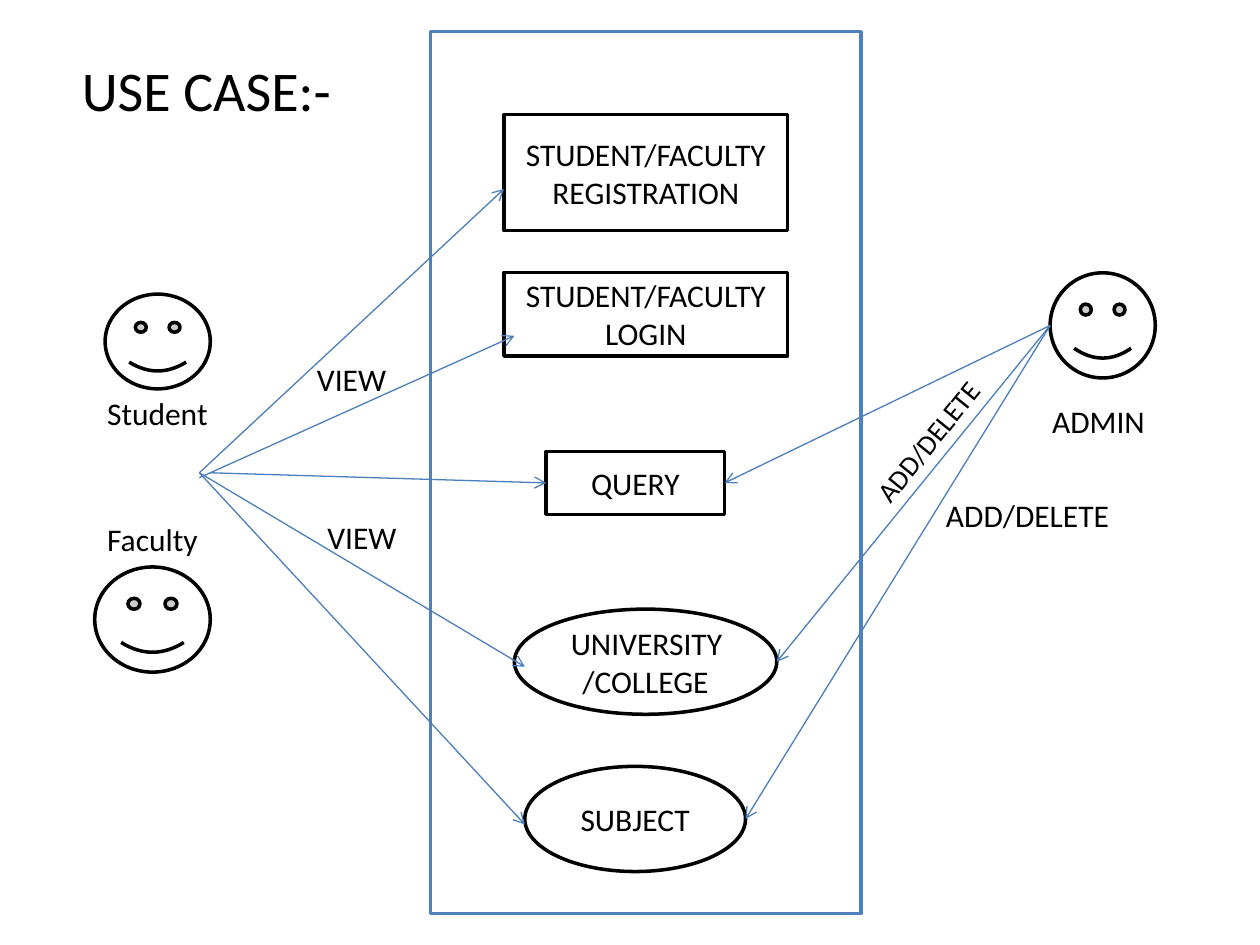
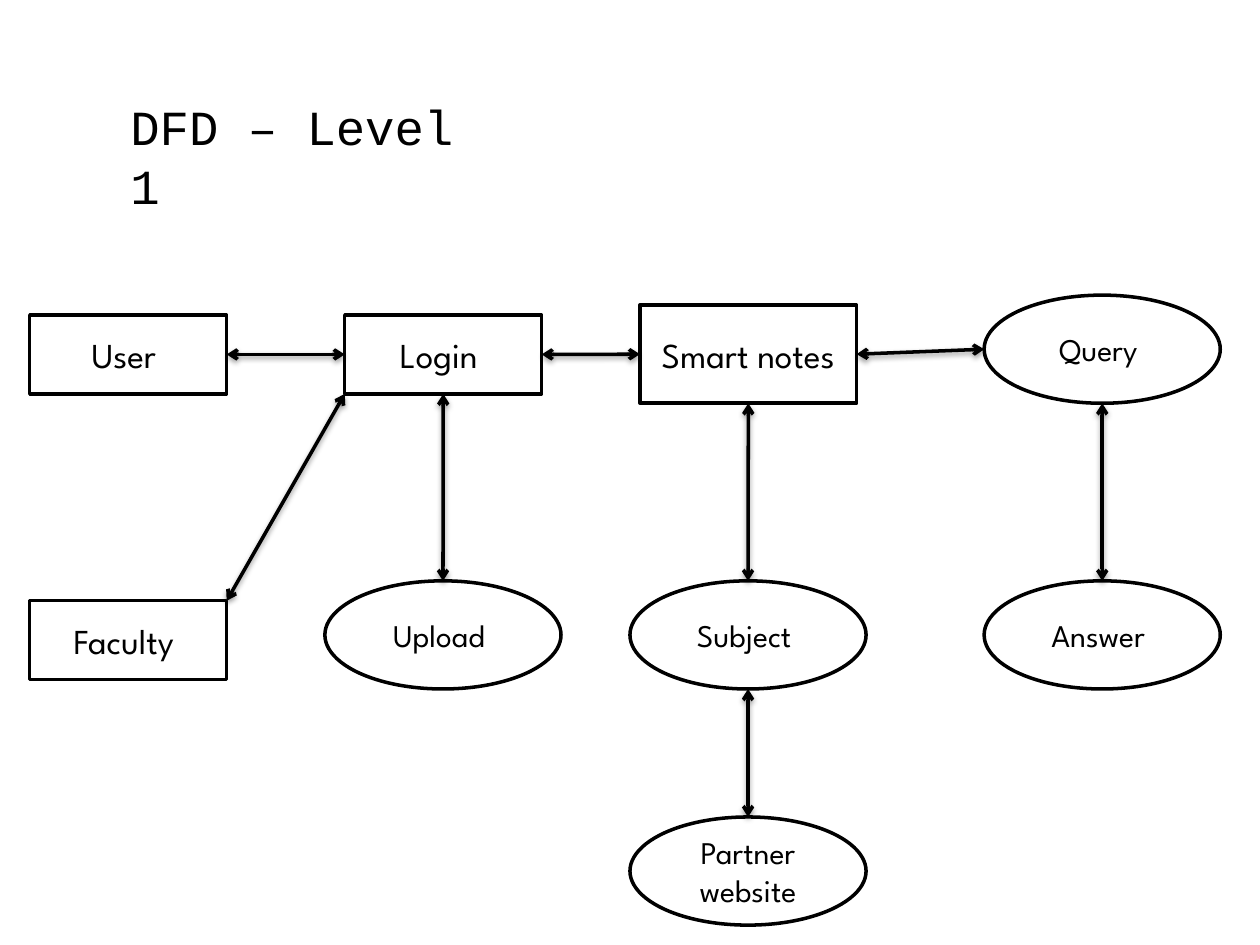
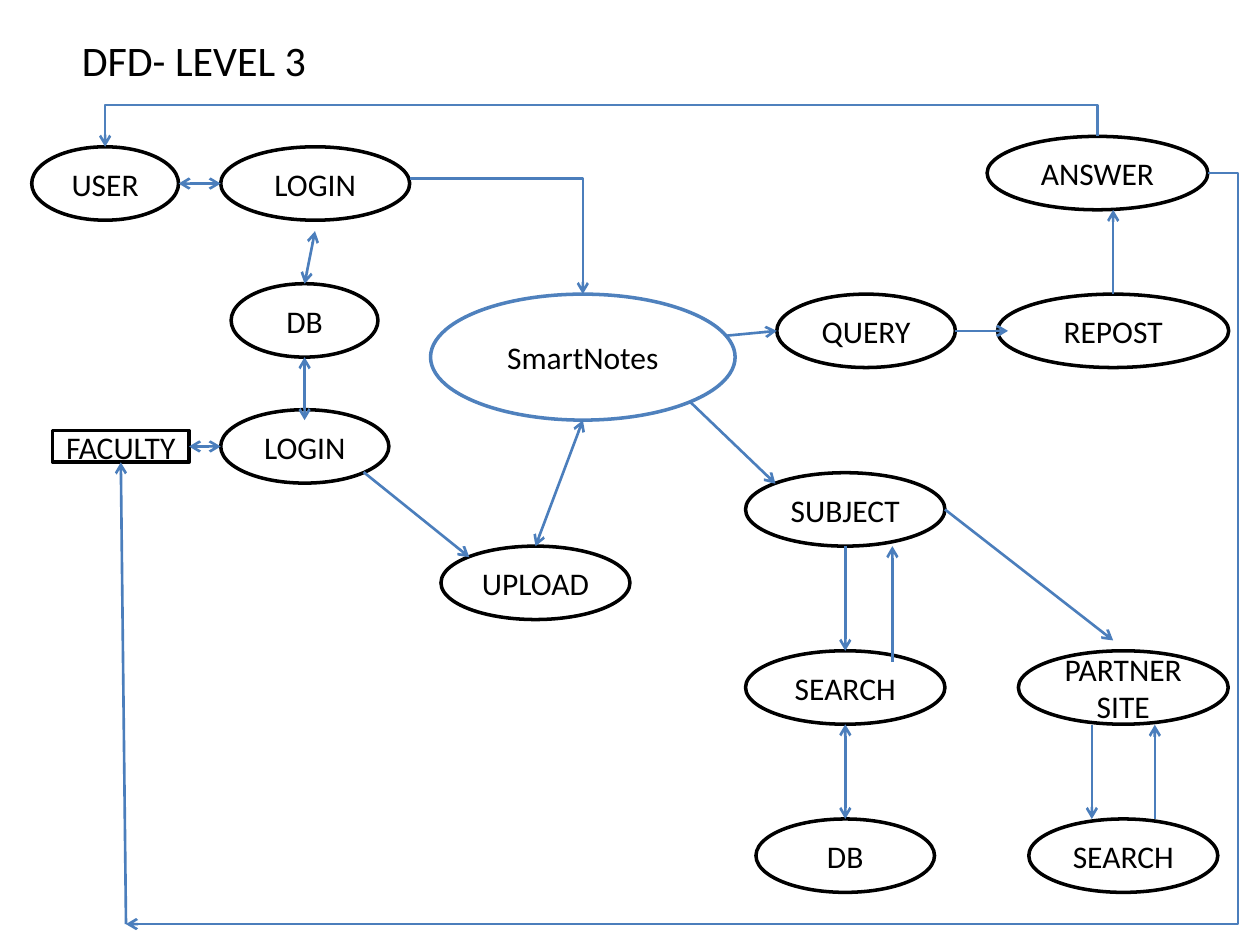
from lxml import etree
from pptx import Presentation
from pptx.dml.color import RGBColor
from pptx.enum.shapes import MSO_CONNECTOR, MSO_SHAPE
from pptx.enum.text import MSO_ANCHOR, MSO_AUTO_SIZE, PP_ALIGN
from pptx.oxml.ns import qn
from pptx.util import Cm, Pt

RECTANGLE, OVAL, SMILEY = MSO_SHAPE.RECTANGLE, MSO_SHAPE.OVAL, MSO_SHAPE.SMILEY_FACE
STRAIGHT, ELBOW = MSO_CONNECTOR.STRAIGHT, MSO_CONNECTOR.ELBOW
MIDDLE, CENTER = MSO_ANCHOR.MIDDLE, PP_ALIGN.CENTER
GROW = MSO_AUTO_SIZE.SHAPE_TO_FIT_TEXT

BLACK, WHITE, BLUE, ARROW_BLUE = "000000", "FFFFFF", "4F81BD", "4B7EBC"
BODY = {"name": "Calibri", "size": Pt(18)}
SMALL = {"name": "Calibri", "size": Pt(16)}
PROCESS = {"name": "League Spartan", "size": Pt(18)}
ENTITY = {"name": "League Spartan", "size": Pt(20)}
USE_CASE_TITLE = {"name": "Calibri", "size": Pt(32)}
LEVEL_1_TITLE = {"name": "Courier New", "size": Pt(28)}
LEVEL_3_TITLE = {"name": "Calibri", "size": Pt(24)}

THIN_ARROW = {"color": ARROW_BLUE, "width": 0.75}
FLOW_ARROW = {"color": ARROW_BLUE, "width": 1.5}
RETURN_ARROW = {"color": BLUE, "width": 1.5}
BLACK_ARROW = {"color": BLACK, "width": 2, "both": True, "shadow": True}

# Fractions of a node's width and height; the diagonals lie on an oval's edge.
SIDES = {
    "top": (0.5, 0), "bottom": (0.5, 1), "left": (0, 0.5), "right": (1, 0.5),
    "top right corner": (1, 0), "bottom left corner": (0, 1),
    "upper left": (0.15, 0.15), "lower right": (0.85, 0.85),
}


def rgb(color):
    return RGBColor.from_string(color)


def write(text_frame, text, font, align=None):
    text_frame.text = text
    for paragraph in text_frame.paragraphs:
        paragraph.alignment = align
        paragraph.font.color.rgb = rgb(BLACK)
        for attribute, value in font.items():
            setattr(paragraph.font, attribute, value)


def add_node(slide, kind, box, text="", font=BODY, outline=BLACK):
    shape = slide.shapes.add_shape(kind, *map(Cm, box))
    shape.shadow.inherit = False
    shape.fill.solid()
    shape.fill.fore_color.rgb = rgb(WHITE)
    shape.line.color.rgb = rgb(outline)
    shape.line.width = Pt(2)
    if text:
        shape.text_frame.vertical_anchor = MIDDLE
        write(shape.text_frame, text, font, CENTER)
    return shape


def add_label(slide, text, box, font=BODY, wrap=True, rotation=0):
    label = slide.shapes.add_textbox(*map(Cm, box))
    label.text_frame.word_wrap = wrap
    label.text_frame.auto_size = GROW
    label.rotation = rotation
    write(label.text_frame, text, font)


def locate(end):
    """Turn a (node, side name) pair or an (x, y) pair in cm into a point."""
    place, side = end
    if not isinstance(side, str):
        return Cm(place), Cm(side)
    across, down = SIDES[side]
    return (round(place.left + across * place.width),
            round(place.top + down * place.height))


def style_arrow(connector, color, width, both=False, shadow=False):
    connector.line.color.rgb = rgb(color)
    connector.line.width = Pt(width)
    line = connector.line._get_or_add_ln()
    for tag in ["a:headEnd", "a:tailEnd"] if both else ["a:tailEnd"]:
        etree.SubElement(line, qn(tag), type="arrow")
    effects = etree.SubElement(connector._element.spPr, qn("a:effectLst"))
    if shadow:
        outer = etree.SubElement(effects, qn("a:outerShdw"), blurRad="40000",
                                 dist="20000", dir="5400000", rotWithShape="0")
        tint = etree.SubElement(outer, qn("a:srgbClr"), val=BLACK)
        etree.SubElement(tint, qn("a:alpha"), val="38000")


def add_arrow(slide, start, end, **style):
    connector = slide.shapes.add_connector(STRAIGHT, *locate(start), *locate(end))
    style_arrow(connector, **style)


def add_elbow(slide, start, end, style, turn_x=None, turn_y=None):
    """Bend at turn_x or turn_y; with neither, go across and then down once."""
    (x1, y1), (x2, y2) = locate(start), locate(end)
    vertical_first = turn_y is not None
    adjustment = None
    if vertical_first:
        adjustment = (Cm(turn_y) - y1) / (y2 - y1)
        # The connector is laid out sideways and then turned by 270 degrees.
        middle_x, middle_y = (x1 + x2) // 2, (y1 + y2) // 2
        half_x, half_y = (y1 - y2) // 2, (x2 - x1) // 2
        x1, y1 = middle_x - half_x, middle_y - half_y
        x2, y2 = middle_x + half_x, middle_y + half_y
    elif turn_x is not None:
        adjustment = (Cm(turn_x) - x1) / (x2 - x1)
    connector = slide.shapes.add_connector(ELBOW, x1, y1, x2, y2)
    properties = connector._element.spPr
    if vertical_first:
        properties.find(qn("a:xfrm")).set("rot", "16200000")
    geometry = properties.find(qn("a:prstGeom"))
    if adjustment is None:
        geometry.set("prst", "bentConnector2")
    else:
        etree.SubElement(geometry.find(qn("a:avLst")), qn("a:gd"), name="adj1",
                         fmla=f"val {round(adjustment * 100000)}")
    style_arrow(connector, **style)


def build_use_case(slide):
    add_node(slide, RECTANGLE, (8.68, 0.64, 8.68, 17.78), outline=BLUE)
    registration, login, query, university, subject = [
        add_node(slide, kind, box, text) for kind, box, text in [
            (RECTANGLE, (10.16, 2.31, 5.72, 2.34), "STUDENT/FACULTY\nREGISTRATION"),
            (RECTANGLE, (10.16, 5.49, 5.72, 1.69), "STUDENT/FACULTY\nLOGIN"),
            (RECTANGLE, (11.01, 9.1, 3.6, 1.27), "QUERY"),
            (OVAL, (10.37, 12.28, 5.29, 2.12), "UNIVERSITY/COLLEGE"),
            (OVAL, (10.58, 15.45, 4.45, 2.12), "SUBJECT"),
        ]]
    student, faculty, admin = [add_node(slide, SMILEY, box) for box in [
        (2.12, 5.93, 2.12, 1.91),
        (1.91, 11.43, 2.33, 2.12),
        (21.17, 5.5, 2.12, 2.12),
    ]]
    members = (4.02, 9.53)
    for start, end in [
        (members, (10.16, 3.81)),
        ((4.02, 9.63), (10.37, 6.77)),
        ((4.23, 9.53), (query, "left")),
        (members, (10.58, 13.44)),
        (members, (10.58, 16.62)),
        ((admin, "left"), (query, "right")),
        ((admin, "left"), (university, "right")),
        ((admin, "left"), (subject, "right")),
    ]:
        add_arrow(slide, start, end, **THIN_ARROW)
    for text, left, top, width, wrap in [
        ("Student", 1.91, 7.82, 2.57, False),
        ("Faculty", 1.91, 10.36, 2.36, True),
        ("ADMIN", 20.96, 7.98, 2.41, True),
        ("VIEW", 6.14, 7.14, 1.93, False),
        ("VIEW", 6.35, 10.31, 1.93, False),
        ("ADD/DELETE", 18.82, 9.88, 3.81, True),
    ]:
        add_label(slide, text, (left, top, width, 1.02), wrap=wrap)
    add_label(slide, "ADD/DELETE", (16.92, 8.28, 3.81, 0.94), SMALL, rotation=309)
    add_label(slide, "USE CASE:-", (1.4, 0.99, 5.56, 1.63), USE_CASE_TITLE)


def build_level_1(slide):
    add_label(slide, "DFD – Level 1", (2.38, 1.83, 8.13, 1.45), LEVEL_1_TITLE)
    user, login, faculty = [
        add_node(slide, RECTANGLE, (left, top, 3.97, 1.59), text, ENTITY)
        for text, left, top in [
            ("User ", 0.6, 6.35), ("Login ", 6.95, 6.35), ("Faculty ", 0.6, 12.11),
        ]]
    notes = add_node(slide, RECTANGLE, (12.9, 6.15, 4.37, 1.98), "Smart notes", ENTITY)
    query, upload, subject, answer, partner = [
        add_node(slide, OVAL, (left, top, 4.76, 2.18), text, PROCESS)
        for text, left, top in [
            ("Query ", 19.84, 5.95), ("Upload ", 6.55, 11.71), ("Subject ", 12.7, 11.71),
            ("Answer ", 19.84, 11.71), ("Partner website", 12.7, 16.47),
        ]]
    for left_node, right_node in [(user, login), (login, notes), (notes, query)]:
        add_arrow(slide, (left_node, "right"), (right_node, "left"), **BLACK_ARROW)
    for lower, upper in [(upload, login), (subject, notes), (answer, query),
                         (partner, subject)]:
        add_arrow(slide, (lower, "top"), (upper, "bottom"), **BLACK_ARROW)
    add_arrow(slide, (faculty, "top right corner"), (login, "bottom left corner"),
              **BLACK_ARROW)


def build_level_3(slide):
    (user, user_login, user_db, faculty_login, upload, subject, search, _, _,
     subject_db, query, repost, answer) = [
        add_node(slide, OVAL, (left, top, width, 1.48), text)
        for text, left, top, width in [
            ("USER", 0.64, 2.96, 2.96),
            ("LOGIN", 4.45, 2.96, 3.81),
            ("DB", 4.66, 5.72, 2.96),
            ("LOGIN", 4.45, 8.26, 3.39),
            ("UPLOAD", 8.89, 11.01, 3.81),
            ("SUBJECT", 15.03, 9.53, 4.02),
            ("SEARCH", 15.03, 13.12, 4.02),
            ("SEARCH", 20.74, 16.51, 3.81),
            ("PARTNER SITE", 20.53, 13.12, 4.23),
            ("DB", 15.24, 16.51, 3.6),
            ("QUERY", 15.66, 5.93, 3.6),
            ("REPOST", 20.11, 5.93, 4.66),
            ("ANSWER", 19.9, 2.75, 4.45),
        ]]
    notes = add_node(slide, OVAL, (8.68, 5.93, 6.14, 2.54), "SmartNotes", outline=BLUE)
    faculty = add_node(slide, RECTANGLE, (1.06, 8.68, 2.75, 0.64), "FACULTY")

    return_corner = (2.54, 18.63)
    add_elbow(slide, (answer, "top"), (user, "top"), RETURN_ARROW, turn_y=2.12)
    add_elbow(slide, (answer, "right"), return_corner, FLOW_ARROW, turn_x=24.97)
    add_elbow(slide, (8.26, 3.6), (notes, "top"), FLOW_ARROW)
    for start, end in [
        ((user_db, "bottom"), (6.14, 8.47)),
        ((6.35, 4.66), (user_db, "top")),
        ((user, "right"), (user_login, "left")),
        ((notes, "bottom"), (upload, "top")),
        ((search, "bottom"), (subject_db, "top")),
        ((faculty, "right"), (faculty_login, "left")),
    ]:
        add_arrow(slide, start, end, both=True, **FLOW_ARROW)
    for start, end in [
        ((faculty_login, "lower right"), (upload, "upper left")),
        ((subject, "bottom"), (search, "top")),
        ((17.99, 13.34), (17.99, 11.01)),
        ((subject, "right"), (22.44, 12.91)),
        ((22.01, 14.61), (22.01, 16.51)),
        ((23.28, 16.51), (23.28, 14.61)),
        ((query, "right"), (20.32, 6.67)),
        ((14.61, 6.77), (query, "left")),
        ((repost, "top"), (22.44, 4.23)),
        ((notes, "lower right"), (subject, "upper left")),
        (return_corner, (faculty, "bottom")),
    ]:
        add_arrow(slide, start, end, **FLOW_ARROW)
    add_label(slide, "DFD- LEVEL 3", (1.4, 0.58, 6.55, 1.27), LEVEL_3_TITLE)


def main():
    presentation = Presentation()
    presentation.slide_width, presentation.slide_height = Cm(25.4), Cm(19.05)
    blank = presentation.slide_layouts[6]
    for build in [build_use_case, build_level_1, build_level_3]:
        build(presentation.slides.add_slide(blank))
    presentation.save("out.pptx")


if __name__ == "__main__":
    main()
